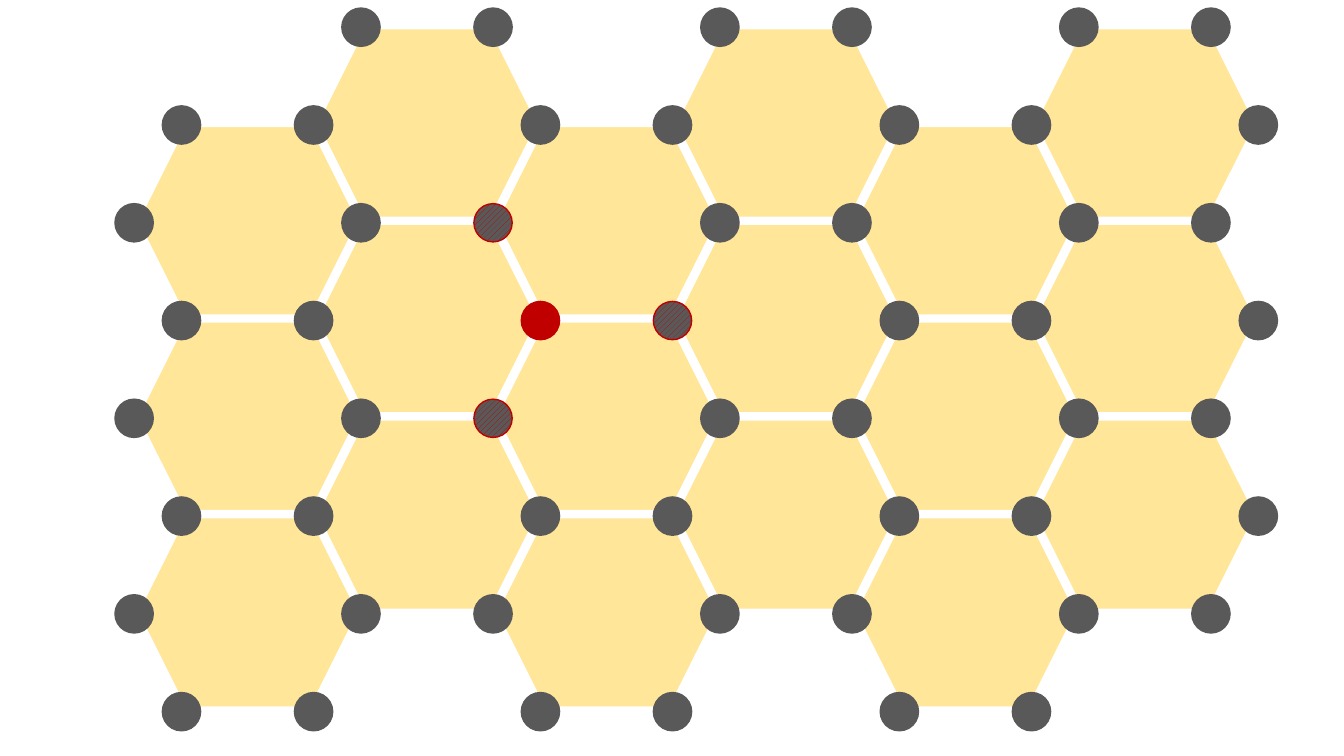
from dataclasses import dataclass
from typing import NamedTuple

from pptx import Presentation
from pptx import util as u
from pptx.dml.color import RGBColor
from pptx.enum import dml, shapes

WHITE = RGBColor(0xFF, 0xFF, 0xFF)
YELLOW = RGBColor(0xFF, 0xE6, 0x99)
GRAY = RGBColor(0x59, 0x59, 0x59)
RED = RGBColor(0xC0, 0x00, 0x00)

# Lattice measures, in inches
COLUMNS = 6
CELLS_PER_COLUMN = 3
LATTICE_LEFT = 1.33
COLUMN_STEP = 1.78
CORNER_INSET = 0.47  # from a cell's side corner to its top-left corner
ROW_STEP = 0.97  # half the height from one cell to the next
CELL_TOP = 0.25
ATOM_TOP = 0.27  # centre of the highest atoms


@dataclass(frozen=True)
class Style:
    kind: shapes.MSO_SHAPE
    width: float
    height: float
    fill: RGBColor
    line: RGBColor
    line_width: float
    hatch: RGBColor | None = None


CELL = Style(shapes.MSO_SHAPE.HEXAGON, 2.26, 1.95, YELLOW, WHITE, 6)
ATOM = Style(shapes.MSO_SHAPE.OVAL, 0.38, 0.38, GRAY, GRAY, 1)
CENTER = Style(shapes.MSO_SHAPE.OVAL, 0.38, 0.38, RED, RED, 1)
NEIGHBOR = Style(shapes.MSO_SHAPE.OVAL, 0.38, 0.38, GRAY, RED, 1, hatch=RED)


class Cell(NamedTuple):
    column: int
    row: int


class Site(NamedTuple):
    """A lattice corner: side 0 is on the column line, side 1 is inset."""

    column: int
    side: int
    row: int


def corners(cell: Cell) -> list[Site]:
    column, row = cell
    return [
        Site(column, 1, row),  # top left
        Site(column + 1, 0, row),  # top right
        Site(column, 0, row + 1),  # left
        Site(column + 1, 1, row + 1),  # right
        Site(column, 1, row + 2),  # bottom left
        Site(column + 1, 0, row + 2),  # bottom right
    ]


def nearest(site: Site) -> list[Site]:
    """The three sites bonded to this one."""
    column, side, row = site
    across = Site(column + 1, 0, row) if side else Site(column - 1, 1, row)
    return [Site(column, 1 - side, row - 1), Site(column, 1 - side, row + 1), across]


deck = Presentation()
deck.slide_width = u.Inches(13.33)
deck.slide_height = u.Inches(7.5)
page = deck.slides.add_slide(deck.slide_layouts[6])


def draw(style: Style, left: float, top: float) -> None:
    shape = page.shapes.add_shape(
        style.kind,
        u.Inches(left),
        u.Inches(top),
        u.Inches(style.width),
        u.Inches(style.height),
    )
    shape.shadow.inherit = False
    if style.hatch is None:
        shape.fill.solid()
        shape.fill.fore_color.rgb = style.fill
    else:
        shape.fill.patterned()
        shape.fill.pattern = dml.MSO_PATTERN.WIDE_UPWARD_DIAGONAL
        shape.fill.fore_color.rgb = style.hatch
        shape.fill.back_color.rgb = style.fill
    shape.line.color.rgb = style.line
    shape.line.width = u.Pt(style.line_width)


def draw_cell(cell: Cell) -> None:
    left = LATTICE_LEFT + cell.column * COLUMN_STEP
    draw(CELL, left, CELL_TOP + cell.row * ROW_STEP)


def draw_atom(site: Site, style: Style) -> None:
    center_x = LATTICE_LEFT + site.column * COLUMN_STEP + site.side * CORNER_INSET
    center_y = ATOM_TOP + site.row * ROW_STEP
    draw(style, center_x - style.width / 2, center_y - style.height / 2)


# Hexagonal cells: even columns start one half-cell lower
cells = [
    Cell(column, 2 * index + (column + 1) % 2)
    for column in range(COLUMNS)
    for index in range(CELLS_PER_COLUMN)
]
for cell in cells:
    draw_cell(cell)

# One atom per corner, with the centre atom and its neighbors highlighted
center = Site(column=2, side=1, row=3)
highlights = {center: CENTER} | {site: NEIGHBOR for site in nearest(center)}
sites = {site for cell in cells for site in corners(cell)}
for site in sorted(sites):
    draw_atom(site, highlights.get(site, ATOM))

deck.save("out.pptx")
